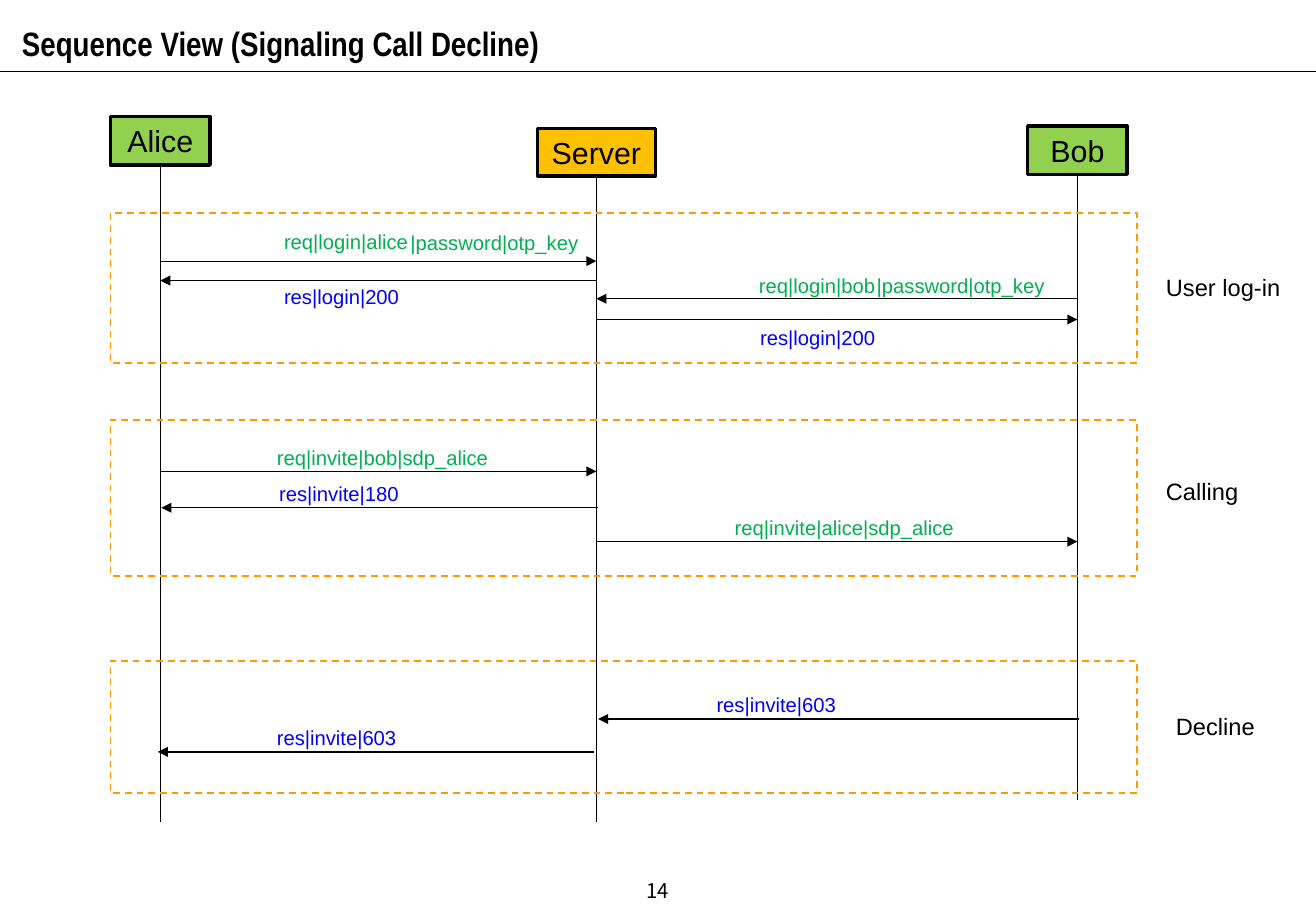
from dataclasses import dataclass
from typing import Any, Optional

from lxml.etree import SubElement
from pptx import Presentation
from pptx.dml.color import RGBColor as Rgb
from pptx.enum.dml import MSO_LINE_DASH_STYLE as Dash
from pptx.enum.shapes import MSO_CONNECTOR as Link, MSO_SHAPE as Form
from pptx.enum.text import MSO_ANCHOR as Anchor, MSO_AUTO_SIZE as Fit, PP_ALIGN as Align
from pptx.oxml.ns import qn
from pptx.util import Pt


@dataclass(frozen=True)
class Theme:
    ink: str = "000000"
    user: str = "92D050"
    server: str = "FFC000"
    ask: str = "00B050"
    reply: str = "0000FF"
    frame: str = "FF9900"
    font: str = "Arial"
    head_font: str = "Arial Narrow"
    page_font: str = "Noto Sans CJK KR"
    head: float = 20
    actor: float = 18
    phase: float = 14
    small: float = 12
    thin: float = 0.75
    thick: float = 2
    dash: float = 1


@dataclass(frozen=True)
class Box:
    left: float
    top: float
    width: float
    height: float


@dataclass(frozen=True)
class Actor:
    name: str
    mid: float
    top: float
    width: float
    height: float
    end: float
    fill: str


@dataclass(frozen=True)
class Message:
    start: Actor
    stop: Actor
    y: float
    shift: float = 0


@dataclass(frozen=True)
class Note:
    text: str
    box: Box
    color: str
    size: float
    pad: float = 3.6


@dataclass(frozen=True)
class Phase:
    top: float
    height: float


LOOK = Theme()
WIDE, HIGH = 780, 540
RULE_Y = 42.5
FRAME_X, FRAME_W = 65.5, 608.4

ALICE = Actor("Alice", 95, 69.1, 59, 28.8, 487.4, LOOK.user)
SERVER = Actor("Server", 353.5, 76.3, 69.8, 28.1, 487.4, LOOK.server)
BOB = Actor("Bob", 638.6, 74.6, 59, 28.8, 474.5, LOOK.user)
ACTORS = [ALICE, SERVER, BOB]

MESSAGES = [
    Message(ALICE, SERVER, 154.8),
    Message(SERVER, ALICE, 166.3),
    Message(BOB, SERVER, 177.1),
    Message(SERVER, BOB, 189.4),
    Message(ALICE, SERVER, 279.4),
    Message(SERVER, ALICE, 301, 0.7),
    Message(SERVER, BOB, 321.1),
    Message(BOB, SERVER, 426.2, 1),
    Message(SERVER, ALICE, 445.7, -1.4),
]
PHASES = [Phase(126.4, 88.9), Phase(249.1, 92.2), Phase(391.7, 78.5)]


def ask(text: str, left: float, top: float, width: float) -> Note:
    return Note(text, Box(left, top, width, 21.6), LOOK.ask, LOOK.small)


def reply(text: str, left: float, top: float, width: float = 88) -> Note:
    return Note(text, Box(left, top, width, 21.6), LOOK.reply, LOOK.small)


def secret(left: float, top: float) -> Note:
    """Second half of a log-in request."""
    return Note("|password|otp_key", Box(left, top, 122.4, 28.8),
                LOOK.ask, LOOK.small, 7.2)


def label(text: str, left: float, top: float, width: float) -> Note:
    """Name of a phase, right of its frame."""
    return Note(text, Box(left, top, width, 24.5), LOOK.ink, LOOK.phase)


NOTES = [
    ask("req|login|alice", 161.3, 132.5, 92),
    reply("res|login|200", 161.3, 164.9),
    ask("req|login|bob", 442.8, 158.4, 88),
    reply("res|login|200", 443.5, 189.4),
    ask("req|invite|bob|sdp_alice", 157, 260.6, 142),
    ask("req|invite|alice|sdp_alice", 428.4, 301.7, 148),
    reply("res|invite|180", 158.4, 281.5),
    reply("res|invite|603", 417.6, 406.8, 121),
    reply("res|invite|603", 157, 426.2),
    label("User log-in", 684, 158.4, 86),
    label("Calling", 684, 279.4, 61),
    label("Decline", 689.8, 418.3, 65),
    secret(236.2, 129.6),
    secret(512.6, 154.8),
]


def apply(target: Any, values: dict[str, Any]) -> None:
    for name, value in values.items():
        setattr(target, name, value)


def write(shape: Any, text: str, size: float, color: str = LOOK.ink,
          font: str = LOOK.font, bold: bool = False, align: Any = Align.LEFT,
          anchor: Any = Anchor.TOP, pad: float = 3.6,
          space: Optional[float] = None) -> None:
    frame = shape.text_frame
    frame.text = text
    apply(frame, {"word_wrap": True, "auto_size": Fit.NONE,
                  "vertical_anchor": anchor,
                  "margin_left": Pt(7.2), "margin_right": Pt(7.2),
                  "margin_top": Pt(pad), "margin_bottom": Pt(pad)})
    para = frame.paragraphs[0]
    apply(para, {"alignment": align, "line_spacing": space})
    face = para.runs[0].font
    apply(face, {"name": font, "size": Pt(size), "bold": bold})
    face.color.rgb = Rgb.from_string(color)


def stroke(shape: Any, color: str, width: float) -> None:
    shape.line.color.rgb = Rgb.from_string(color)
    shape.line.width = Pt(width)


def place(box: Box) -> list[Any]:
    """Left, top, width and height as lengths."""
    return [Pt(box.left), Pt(box.top), Pt(box.width), Pt(box.height)]


def draw_line(slide: Any, x1: float, y1: float, x2: float, y2: float,
              arrow: bool = False) -> Any:
    line = slide.shapes.add_connector(Link.STRAIGHT, Pt(x1), Pt(y1), Pt(x2), Pt(y2))
    stroke(line, LOOK.ink, LOOK.thin)
    if arrow:
        SubElement(line.line._get_or_add_ln(), qn("a:tailEnd"), type="triangle")
    SubElement(line._element.spPr, qn("a:effectLst"))
    return line


def draw_actor(slide: Any, actor: Actor) -> None:
    """Named box with the lifeline that hangs from it."""
    box = Box(actor.mid - actor.width / 2, actor.top, actor.width, actor.height)
    shape = slide.shapes.add_shape(Form.RECTANGLE, *place(box))
    shape.shadow.inherit = False
    shape.fill.solid()
    shape.fill.fore_color.rgb = Rgb.from_string(actor.fill)
    stroke(shape, LOOK.ink, LOOK.thick)
    write(shape, actor.name, LOOK.actor, align=Align.CENTER, anchor=Anchor.MIDDLE)
    life = draw_line(slide, actor.mid, actor.top + actor.height, actor.mid, actor.end)
    life.begin_connect(shape, 2)


def draw_note(slide: Any, note: Note) -> None:
    shape = slide.shapes.add_textbox(*place(note.box))
    write(shape, note.text, note.size, note.color, pad=note.pad)


def draw_phase(slide: Any, phase: Phase) -> None:
    box = Box(FRAME_X, phase.top, FRAME_W, phase.height)
    shape = slide.shapes.add_shape(Form.RECTANGLE, *place(box))
    shape.shadow.inherit = False
    shape.fill.background()
    stroke(shape, LOOK.frame, LOOK.dash)
    shape.line.dash_style = Dash.DASH


def main() -> None:
    deck = Presentation()
    apply(deck, {"slide_width": Pt(WIDE), "slide_height": Pt(HIGH)})
    slide = deck.slides.add_slide(deck.slide_layouts[5])
    title = slide.shapes.title
    apply(title, dict(zip(("left", "top", "width", "height"),
                          place(Box(5.8, 5, 562.3, 36)))))
    write(title, "Sequence View (Signaling Call Decline)", LOOK.head,
          font=LOOK.head_font, bold=True, space=1.2)
    draw_line(slide, 0, RULE_Y, WIDE, RULE_Y)
    for actor in ACTORS:
        draw_actor(slide, actor)
    for msg in MESSAGES:
        draw_line(slide, msg.start.mid + msg.shift, msg.y,
                  msg.stop.mid + msg.shift, msg.y, arrow=True)
    for phase in PHASES:
        draw_phase(slide, phase)
    for note in NOTES:
        draw_note(slide, note)
    page = slide.shapes.add_textbox(*place(Box(298.8, 513.4, 182.2, 28.8)))
    write(page, "14", LOOK.small, font=LOOK.page_font,
          align=Align.CENTER, anchor=Anchor.MIDDLE)
    deck.save("out.pptx")


if __name__ == "__main__":
    main()
